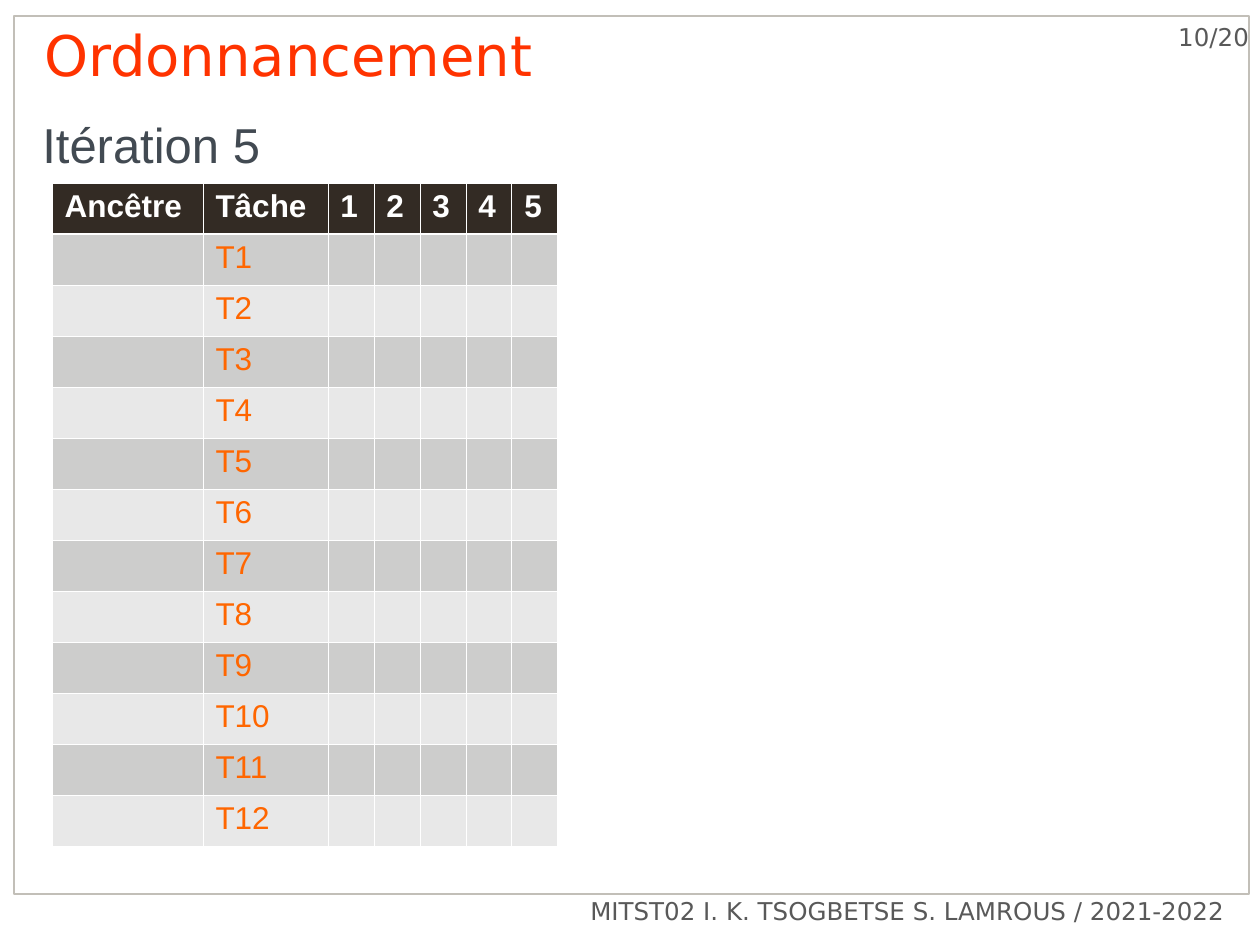
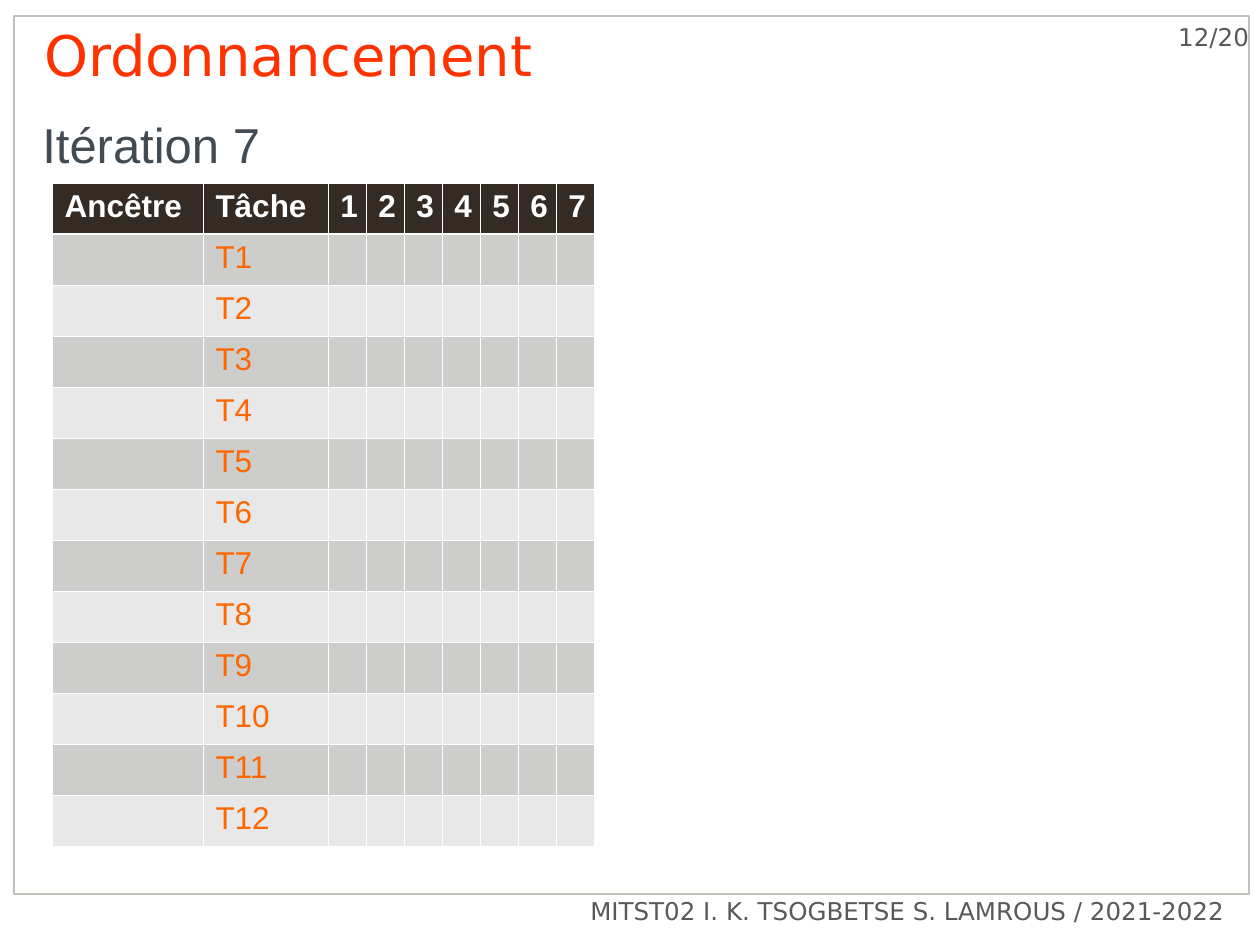
"""Build the two scheduling iteration slides, each with an empty task table."""
from lxml.etree import SubElement
from pptx import Presentation
from pptx.dml.color import RGBColor
from pptx.enum.shapes import MSO_SHAPE as Shape
from pptx.enum.text import MSO_ANCHOR as Anchor, MSO_AUTO_SIZE as AutoSize, PP_ALIGN as Align
from pptx.oxml.ns import qn
from pptx.util import Emu, Pt

SCALE = 914400 / 126
WHITE = RGBColor(0xFF, 0xFF, 0xFF)
FRAME_GREY = RGBColor(0xC2, 0xBF, 0xB8)
NOTE_GREY = RGBColor(0x59, 0x59, 0x59)
TITLE_RED = RGBColor(0xFF, 0x33, 0x00)
SLATE = RGBColor(0x42, 0x4A, 0x52)
TASK_ORANGE = RGBColor(0xFF, 0x66, 0x00)
HEADER_BROWN = RGBColor(0x33, 0x2B, 0x24)
BANDS = (RGBColor(0xE8, 0xE8, 0xE8), RGBColor(0xCD, 0xCD, 0xCC))

TITLE_FONT = {"name": "DejaVu Sans", "size": Pt(32), "color": TITLE_RED}
SUBTITLE_FONT = {"name": "Arial", "size": Pt(28), "color": SLATE}
NOTE_FONT = {"name": "DejaVu Sans", "size": Pt(14), "color": NOTE_GREY}
HEADER_FONT = {"name": "Arial", "size": Pt(18), "color": WHITE, "bold": True}
TASK_FONT = {"name": "Arial", "size": Pt(18), "color": TASK_ORANGE, "bold": False}

FOOTER = "MITST02 I. K. TSOGBETSE S. LAMROUS / 2021-2022"
TASK_COUNT = 12
ROW_HEIGHT = 51
THIN, THICK = Pt(0.45), Pt(1.47)


def px(*lengths):
    return [Emu(round(length * SCALE)) for length in lengths]


class Deck:
    """Hold the shared style and the slide being built."""

    def __init__(self):
        self.show = Presentation()
        self.show.slide_width, self.show.slide_height = px(1260, 945)
        self.slide = None

    def add_words(self, paragraph, text, style):
        run = paragraph.add_run()
        run.text = text
        for key, value in style.items():
            if key == "color":
                run.font.color.rgb = value
            else:
                setattr(run.font, key, value)

    def start(self, title, page):
        self.slide = self.show.slides.add_slide(self.show.slide_layouts[5])
        self.frame(14, 16, 1235, 878)
        self.note(page, (1108, 16, 141, 76), margin_right=0)
        self.note(FOOTER, (365, 890, 872, 50))
        self.title(title)

    def frame(self, *box):
        border = self.slide.shapes.add_shape(Shape.RECTANGLE, *px(*box))
        border.shadow.inherit = False
        border.fill.background()
        border.line.color.rgb = FRAME_GREY
        border.line.width = Pt(1.5)

    def title(self, text):
        heading = self.slide.shapes.title
        heading.left, heading.top, heading.width, heading.height = px(44, 32, 1026, 73)
        layout = {"margin_left": 0, "margin_top": 0, "word_wrap": True,
                  "vertical_anchor": Anchor.TOP, "auto_size": AutoSize.NONE}
        for key, value in layout.items():
            setattr(heading.text_frame, key, value)
        line = heading.text_frame.paragraphs[0]
        line.alignment = Align.LEFT
        line.line_spacing = Pt(32)
        self.add_words(line, text, TITLE_FONT)

    def text(self, text, box, style, align=Align.LEFT, **layout):
        body = self.slide.shapes.add_textbox(*px(*box)).text_frame
        for key, value in {"word_wrap": True, **layout}.items():
            setattr(body, key, value)
        body.paragraphs[0].alignment = align
        self.add_words(body.paragraphs[0], text, style)

    def note(self, text, box, **layout):
        self.text(text, box, NOTE_FONT, Align.RIGHT, **layout)

    def subtitle(self, text):
        self.text(text, (30, 105, 1200, 78), SUBTITLE_FONT, vertical_anchor=Anchor.MIDDLE)

    def cell(self, cell, text, style, fill, top=THIN, bottom=THIN):
        properties = cell._tc.get_or_add_tcPr()
        for side, width in {"L": THIN, "R": THIN, "T": top, "B": bottom}.items():
            edge = SubElement(properties, qn(f"a:ln{side}"), w=str(int(width)))
            SubElement(SubElement(edge, qn("a:solidFill")), qn("a:srgbClr"), val=str(WHITE))
        cell.fill.solid()
        cell.fill.fore_color.rgb = fill
        if text:
            self.add_words(cell.text_frame.paragraphs[0], text, style)

    def schedule(self, steps, step_width):
        headers = ["Ancêtre", "Tâche", *(str(step) for step in range(1, steps + 1))]
        widths = [151, 125] + [step_width] * steps
        row_count = TASK_COUNT + 1
        box = px(52, 183, sum(widths), ROW_HEIGHT * row_count)
        grid = self.slide.shapes.add_table(row_count, len(headers), *box).table
        grid.horz_banding = False
        for column, width in zip(grid.columns, px(*widths)):
            column.width = width
        for index, header in enumerate(headers):
            self.cell(grid.cell(0, index), header, HEADER_FONT, HEADER_BROWN, bottom=THICK)
            for task in range(1, row_count):
                label = f"T{task}" if header == "Tâche" else ""
                top = THICK if task == 1 else THIN
                self.cell(grid.cell(task, index), label, TASK_FONT, BANDS[task % 2], top=top)


def main():
    deck = Deck()
    for iteration, page, step_width in ((5, "10/20", 46), (7, "12/20", 38)):
        deck.start("Ordonnancement", page)
        deck.subtitle(f"Itération {iteration}")
        deck.schedule(iteration, step_width)
    deck.show.save("out.pptx")


if __name__ == "__main__":
    main()
